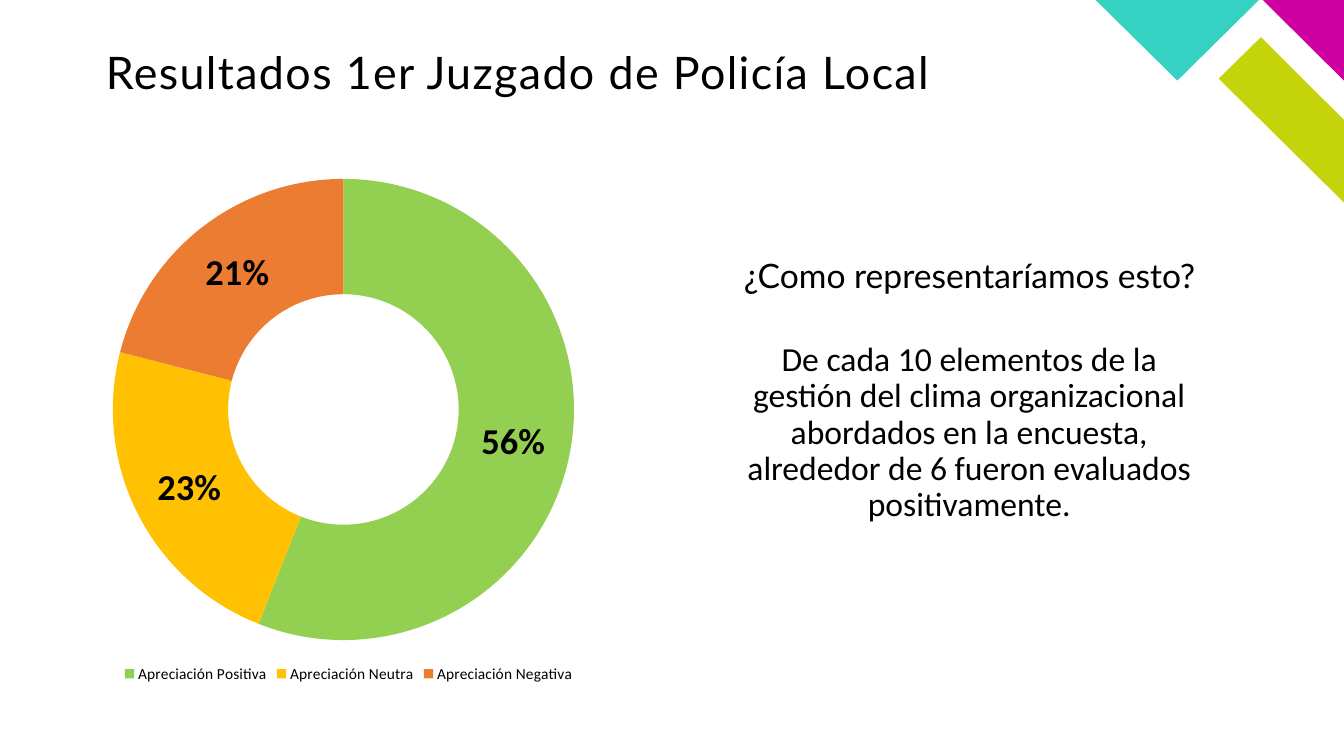
from dataclasses import dataclass

from lxml.etree import SubElement
from pptx import Presentation
from pptx.chart.data import CategoryChartData
from pptx.dml.color import RGBColor
from pptx.enum.chart import XL_CHART_TYPE as ChartType, XL_LEGEND_POSITION as LegendPosition
from pptx.enum.text import MSO_ANCHOR as Anchor, PP_ALIGN as Align
from pptx.oxml.ns import qn
from pptx.slide import Slide
from pptx.util import Pt

COLORS = {
    "text": "000000", "background": "FFFFFF",
    "lime": "C4D40A", "magenta": "CE009F", "turquoise": "35D2C4",
    "positive": "93D051", "neutral": "FFC101", "negative": "EC7C31",
}


@dataclass
class Ornament:
    color: str
    points: list[tuple[float, float]]


@dataclass
class TextBlock:
    text: str
    box: tuple[float, float, float, float]
    font: str
    size: float
    align: Align = Align.CENTER
    anchor: Anchor = Anchor.MIDDLE
    margins: tuple[float, float] = (7.2, 3.6)
    tracking: float = 0


@dataclass
class Rating:
    label: str
    share: float
    color: str


ORNAMENTS = [
    Ornament("lime", [(960, 144.7), (960, 85.7), (900.7, 26.6), (870.5, 56.2)]),
    Ornament("magenta", [(960, 57.6), (960, 0), (902, 0)]),
    Ornament("turquoise", [(782.6, 0), (841, 57.6), (899.3, 0)]),
]

TEXTS = [
    TextBlock("Resultados 1er Juzgado de Policía Local", (75.6, 36, 720, 48.2),
              "Lato", 32, Align.LEFT, Anchor.TOP, (0, 0), 1),
    TextBlock("De cada 10 elementos de la gestión del clima organizacional abordados "
              "en la encuesta, alrededor de 6 fueron evaluados positivamente.",
              (517, 221, 350.6, 177.1), "Calibri", 24),
    TextBlock("¿Como representaríamos esto?", (512.6, 167, 360, 62.6), "Lato", 24),
]

RATINGS = [
    Rating("Apreciación Positiva", 0.56, "positive"),
    Rating("Apreciación Neutra", 0.23, "neutral"),
    Rating("Apreciación Negativa", 0.21, "negative"),
]

CHART_BOX = (61.9, 116.6, 374.4, 374.4)
PLOT_LAYOUT = {"x": 0.05, "y": 0.03, "w": 0.88, "h": 0.88}


def rgb(name: str) -> RGBColor:
    return RGBColor.from_string(COLORS[name])


def draw_ornament(slide: Slide, ornament: Ornament) -> None:
    first, *rest = [(Pt(x), Pt(y)) for x, y in ornament.points]
    builder = slide.shapes.build_freeform(*first)
    builder.add_line_segments(rest, close=True)
    shape = builder.convert_to_shape()
    shape.shadow.inherit = False
    shape.fill.solid()
    shape.fill.fore_color.rgb = rgb(ornament.color)
    shape.line.fill.background()


def draw_text(slide: Slide, block: TextBlock) -> None:
    frame = slide.shapes.add_textbox(*map(Pt, block.box)).text_frame
    frame.word_wrap = True
    frame.vertical_anchor = block.anchor
    horizontal, vertical = map(Pt, block.margins)
    frame.margin_left = frame.margin_right = horizontal
    frame.margin_top = frame.margin_bottom = vertical
    paragraph = frame.paragraphs[0]
    paragraph.alignment = block.align
    paragraph.line_spacing = 0.9
    run = paragraph.add_run()
    run.text = block.text
    paragraph.font.name = block.font
    paragraph.font.size = Pt(block.size)
    paragraph.font.color.rgb = rgb("text")
    if block.tracking:
        run.font.size = Pt(block.size)
        run._r.get_or_add_rPr().set("spc", str(round(block.tracking * 100)))


def draw_doughnut(slide: Slide, ratings: list[Rating]) -> None:
    data = CategoryChartData(number_format="0%")
    data.categories = [rating.label for rating in ratings]
    data.add_series("Apreciación", [rating.share for rating in ratings])
    chart = slide.shapes.add_chart(ChartType.DOUGHNUT, *map(Pt, CHART_BOX), data).chart
    chart.has_title = False
    chart.font.name = "Calibri"
    chart.font.size = Pt(18)

    # Legend
    chart.has_legend = True
    chart.legend.position = LegendPosition.BOTTOM
    chart.legend.include_in_layout = False
    chart.legend.font.name = "Calibri"
    chart.legend.font.size = Pt(11)
    chart.legend.font.color.rgb = rgb("text")

    # Slices
    plot = chart.plots[0]
    plot.vary_by_categories = True
    for index, rating in enumerate(ratings):
        slice_format = plot.series[0].points[index].format
        slice_format.fill.solid()
        slice_format.fill.fore_color.rgb = rgb(rating.color)
        slice_format.line.fill.background()

    # Labels
    labels = plot.series[0].data_labels
    labels.show_value = True
    labels.show_percentage = False
    labels.number_format = "0%"
    labels.number_format_is_linked = False
    labels.font.name = "Calibri"
    labels.font.size = Pt(26)
    labels.font.bold = True
    labels.font.color.rgb = rgb("text")

    # Plot position
    plot_area = chart._chartSpace.chart.plotArea
    layout = plot_area.find(qn("c:layout"))
    if layout is None:
        layout = SubElement(plot_area, qn("c:layout"))
        plot_area.insert(0, layout)
    manual = SubElement(layout, qn("c:manualLayout"))
    SubElement(manual, qn("c:layoutTarget")).set("val", "inner")
    for axis in ("x", "y"):
        SubElement(manual, qn(f"c:{axis}Mode")).set("val", "edge")
    for key, value in PLOT_LAYOUT.items():
        SubElement(manual, qn(f"c:{key}")).set("val", str(value))


def main() -> None:
    presentation = Presentation()
    presentation.slide_width, presentation.slide_height = Pt(960), Pt(540)
    slide = presentation.slides.add_slide(presentation.slide_layouts[6])
    slide.background.fill.solid()
    slide.background.fill.fore_color.rgb = rgb("background")

    # Corner ornaments
    for ornament in ORNAMENTS:
        draw_ornament(slide, ornament)

    # Title and message
    for block in TEXTS:
        draw_text(slide, block)

    # Survey results
    draw_doughnut(slide, RATINGS)

    presentation.save("out.pptx")


if __name__ == "__main__":
    main()
